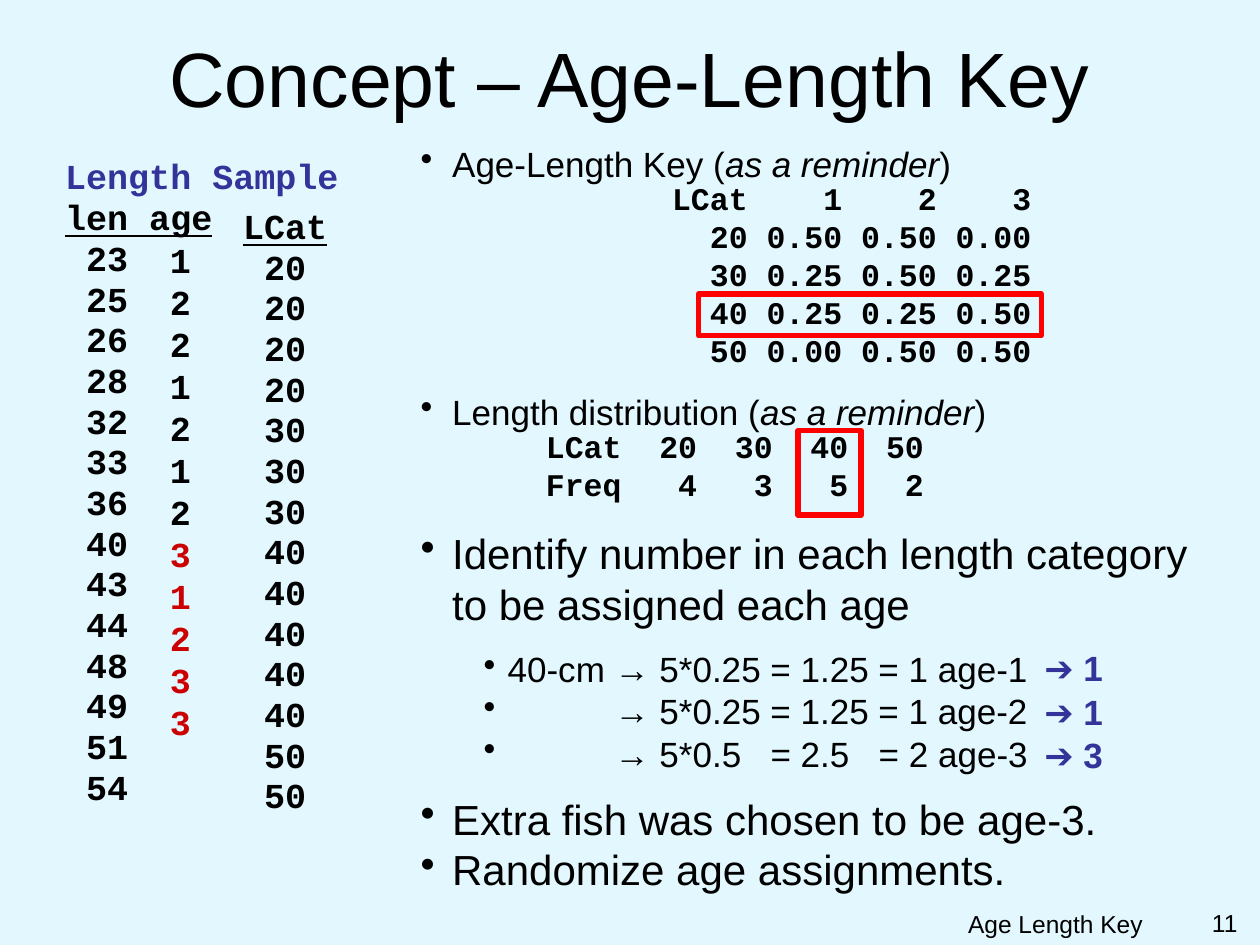
from pptx import Presentation
from pptx.dml.color import RGBColor
from pptx.enum.shapes import MSO_SHAPE as Shape
from pptx.enum.text import MSO_ANCHOR as Anchor, PP_ALIGN as Align
from pptx.oxml.ns import qn
from pptx.oxml.xmlchemy import OxmlElement as Element
from pptx.util import Pt

THEME = {
    "sans": "Arial", "mono": "Courier New",
    "page": "E2F7FE", "ink": "000000", "accent": "333399",
    "assigned": "CC0000", "marker": "FF0000",
    "title": 44, "large": 24, "normal": 20, "code": 18, "footer": 14,
    "plain table": "{2D5ABB26-0587-4C30-8999-92F81FD0307C}",
}

TITLE = "Concept – Age-Length Key"
LENGTHS = [23, 25, 26, 28, 32, 33, 36, 40, 43, 44, 48, 49, 51, 54]
CATEGORIES = [length // 10 * 10 for length in LENGTHS]
AGES = [1, 2, 2, 1, 2, 1, 2, 3, 1, 2, 3, 3]
KNOWN_AGES = 7
KEY_ROWS = [
    ("LCat", "1", "2", "3"),
    ("20", "0.50", "0.50", "0.00"),
    ("30", "0.25", "0.50", "0.25"),
    ("40", "0.25", "0.25", "0.50"),
    ("50", "0.00", "0.50", "0.50"),
]
FREQUENCY_ROWS = [("LCat", "20", "30", "40", "50"), ("Freq", "4", "3", "5", "2")]
REMINDERS = [
    ("Age-Length Key (", 77.8, KEY_ROWS, 373.2, 54),
    ("Length distribution (", 219.5, FREQUENCY_ROWS, 301.1, 43.2),
]
ACTION = "Identify number in each length category to be assigned each age"
CALCULATIONS = [
    ["40-cm → 5*0.25 = 1.25 = 1 age-1"],
    ["→ 5*0.25 = 1.25 = 1 age-2"],
    ["→ 5*0.5", " ", "= 2.5", " ", "= 2 age-3"],
]
RESULTS = ["➔ 1", "➔ 1", "➔ 3"]
CLOSING = ["Extra fish was chosen to be age-3.", "Randomize age assignments."]
FOOTERS = [("Age Length Key", (432, 515.7, 228.2, 18)), ("11", (666, 515.5, 48.2, 24.5))]
MARKERS = [(399.2, 168, 195.8, 23.8), (456, 246.2, 36, 48.2)]

STEPS_LEFT, STEPS_WIDTH = 233.3, 468.7
LABEL_WIDTH = 54
TABLE_DROP = 27.6
TABLE_PITCH = 21.55
SAMPLE_PITCH = 23.25
AGE_PITCH = 24
RESULT_PITCH = 24.8
DIGIT_GAP = 11.12
SECTION_GAP = 11.1


def write(frame, text, size="normal", font="sans", color="ink", bold=False,
          underline=False, italics=(), spread=0, align=Align.LEFT, level=0,
          left=0, hang=0, bullet=False, spacing=None, before=0):
    first = frame.paragraphs[0]
    para = frame.add_paragraph() if first.runs else first
    para.alignment, para.level = align, level
    if spacing:
        para.line_spacing = spacing
    if before:
        para.space_before = Pt(before)
    props = para._p.get_or_add_pPr()
    props.set("marL", str(Pt(left)))
    props.set("indent", str(Pt(-hang)))
    mark = Element("a:buChar" if bullet else "a:buNone")
    if bullet:
        mark.set("char", "•")
    props.append(mark)
    for index, words in enumerate([text] if isinstance(text, str) else text):
        span = para.add_run()
        span.text = words
        span.font.name = THEME[font]
        span.font.size = Pt(THEME[size])
        span.font.color.rgb = RGBColor.from_string(THEME[color])
        span.font.bold, span.font.underline = bold, underline
        span.font.italic = index in italics
        if spread and words == " ":
            span._r.get_or_add_rPr().set("spc", str(round(spread * 100)))


def add_box(page, place, wrap=True):
    box = page.shapes.add_textbox(*map(Pt, place))
    box.text_frame.word_wrap = wrap
    return box.text_frame


def add_title(page):
    title = page.shapes.title
    title.left, title.top, title.width, title.height = map(Pt, (5, 9.4, 710, 68.4))
    title.text_frame.vertical_anchor = Anchor.MIDDLE
    write(title.text_frame, TITLE, size="title", align=Align.CENTER)


def add_sample(page):
    style = dict(font="mono", bold=True, spacing=Pt(SAMPLE_PITCH))
    lengths = add_box(page, (30.2, 85.8, 192.2, 396))
    write(lengths, "Length Sample", color="accent", **style)
    write(lengths, "len age", underline=True, **style)
    categories = add_box(page, (131.8, 114, 66.2, 368))
    write(categories, "LCat", underline=True, **style)
    for frame, values in ((lengths, LENGTHS), (categories, CATEGORIES)):
        for value in values:
            write(frame, str(value), left=12, **style)
    for row, age in enumerate(AGES):
        frame = add_box(page, (90, 132.8 + AGE_PITCH * row, 26.6, 31), wrap=False)
        color = "ink" if row < KNOWN_AGES else "assigned"
        write(frame, str(age), font="mono", bold=True, color=color)


def add_number_table(page, rows, left, top, column_width):
    count = len(rows[0])
    width = LABEL_WIDTH + column_width * (count - 1)
    place = map(Pt, (left, top, width, TABLE_PITCH * len(rows)))
    table = page.shapes.add_table(len(rows), count, *place).table
    table.first_row = table.horz_banding = False
    table._tbl.tblPr.find(qn("a:tableStyleId")).text = THEME["plain table"]
    for index, column in enumerate(table.columns):
        column.width = Pt(column_width if index else LABEL_WIDTH)
    for line, values in zip(table.rows, rows):
        line.height = Pt(TABLE_PITCH)
        for cell, value in zip(line.cells, values):
            cell.fill.background()
            cell.margin_left = cell.margin_right = 0
            cell.margin_top = cell.margin_bottom = 0
            write(cell.text_frame, value, size="code", font="mono", bold=True,
                  align=Align.RIGHT)


def add_steps(page):
    point = dict(left=18, hang=18, bullet=True)
    for heading, top, rows, left, column_width in REMINDERS:
        frame = add_box(page, (STEPS_LEFT, top, STEPS_WIDTH, 31))
        write(frame, [heading, "as a reminder", ")"], italics=(1,), **point)
        add_number_table(page, rows, left, top + TABLE_DROP, column_width)
    frame = add_box(page, (STEPS_LEFT, 298, STEPS_WIDTH, 217.5))
    write(frame, ACTION, size="large", **point)
    for row, parts in enumerate(CALCULATIONS):
        left = 110.9 if row else 49.7
        write(frame, parts, level=1, left=left, hang=left - 36, bullet=True,
              spread=DIGIT_GAP, before=0 if row else SECTION_GAP)
    for row, sentence in enumerate(CLOSING):
        write(frame, sentence, size="large", before=0 if row else SECTION_GAP, **point)
    for row, result in enumerate(RESULTS):
        answer = add_box(page, (589.7, 366 + RESULT_PITCH * row, 52.6, 31), wrap=False)
        write(answer, result, color="accent", bold=True)


def add_markers(page):
    for place in MARKERS:
        marker = page.shapes.add_shape(Shape.RECTANGLE, *map(Pt, place))
        marker.shadow.inherit = False
        marker.fill.background()
        marker.line.color.rgb = RGBColor.from_string(THEME["marker"])
        marker.line.width = Pt(3)


def main():
    deck = Presentation()
    deck.slide_width, deck.slide_height = Pt(720), Pt(540)
    page = deck.slides.add_slide(deck.slide_layouts[5])
    page.background.fill.solid()
    page.background.fill.fore_color.rgb = RGBColor.from_string(THEME["page"])
    for text, place in FOOTERS:
        write(add_box(page, place), text, size="footer", align=Align.RIGHT)
    add_title(page)
    add_sample(page)
    add_steps(page)
    add_markers(page)
    deck.save("out.pptx")


if __name__ == "__main__":
    main()
